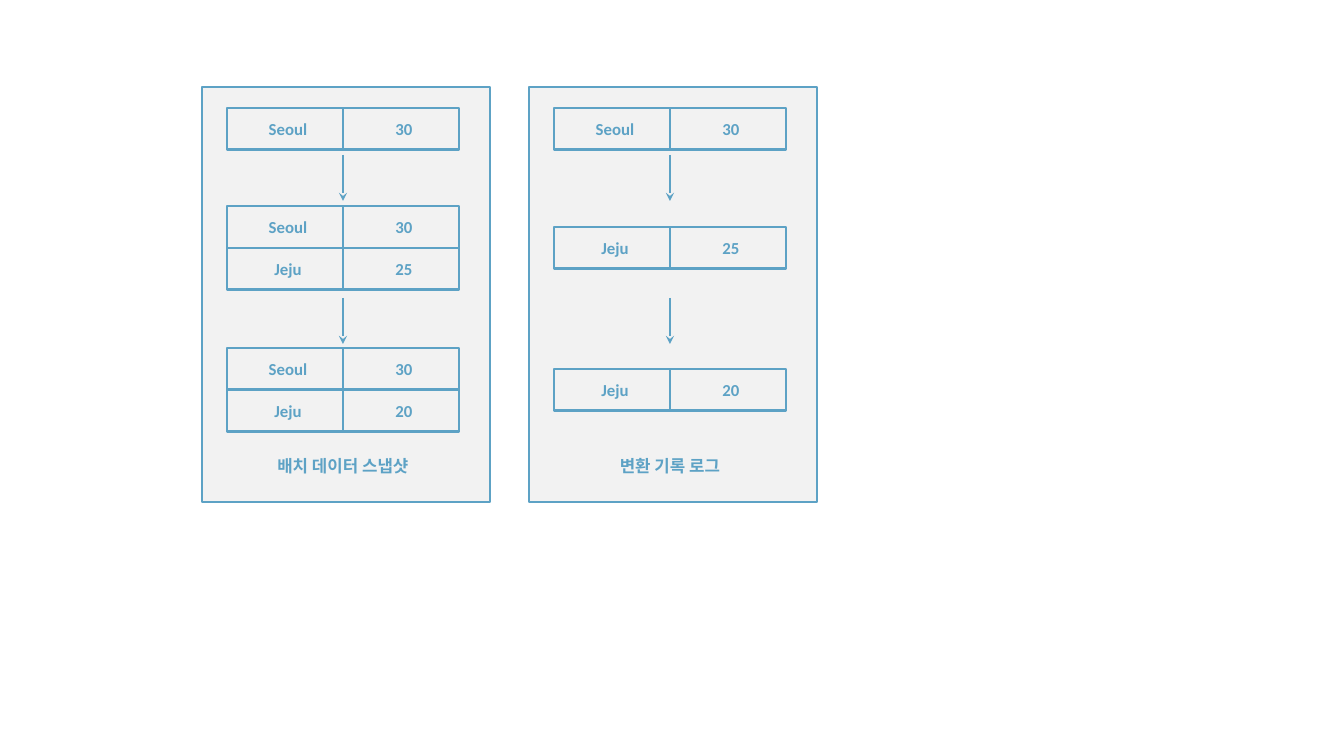
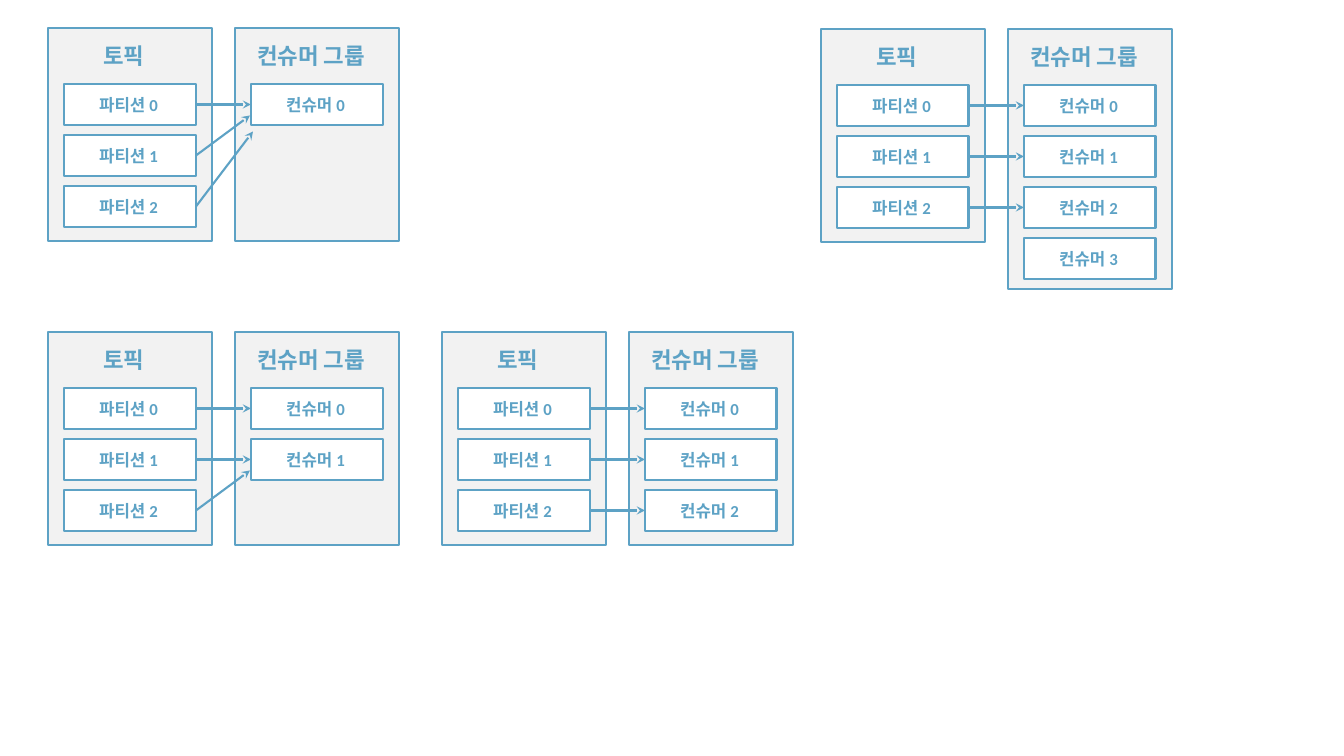
from dataclasses import dataclass

from lxml.etree import SubElement
from pptx import Presentation
from pptx.dml.color import RGBColor
from pptx.enum.shapes import MSO_CONNECTOR as Connector, MSO_SHAPE as Shape
from pptx.enum.text import MSO_ANCHOR as Anchor, PP_ALIGN as Align
from pptx.oxml.ns import qn
from pptx.util import Emu, Pt


@dataclass(frozen=True)
class Theme:
    accent: RGBColor = RGBColor(0x5D, 0xA2, 0xC5)
    panel: RGBColor = RGBColor(0xF2, 0xF2, 0xF2)
    box: RGBColor = RGBColor(0xFF, 0xFF, 0xFF)
    font: str = "Calibri"
    label: int = 12
    heading: int = 16
    border: float = 2
    arrow: float = 1.5


THEME = Theme()
EMU_PER_PX = 914400 / 100.8
RIGHT, LEFT = 3, 1


def px(length):
    return Emu(round(length * EMU_PER_PX))


def write(frame, text, size):
    frame.word_wrap = True
    line = frame.paragraphs[0]
    line.text = text
    line.alignment = Align.CENTER
    line.font.name = THEME.font
    line.font.size = Pt(size)
    line.font.bold = True
    line.font.color.rgb = THEME.accent


def add_box(slide, x, y, w, h, fill=None, text=None, left=0, right=0):
    box = slide.shapes.add_shape(Shape.RECTANGLE, px(x), px(y), px(w), px(h))
    box.shadow.inherit = False
    if fill is None:
        box.fill.background()
    else:
        box.fill.solid()
        box.fill.fore_color.rgb = fill
    box.line.color.rgb = THEME.accent
    box.line.width = Pt(THEME.border)
    if text:
        frame = box.text_frame
        frame.margin_left, frame.margin_right = px(left), px(right)
        frame.margin_top = frame.margin_bottom = 0
        frame.vertical_anchor = Anchor.MIDDLE
        write(frame, text, THEME.label)
    return box


def add_label(slide, x, y, w, h, text, size):
    label = slide.shapes.add_textbox(px(x), px(y), px(w), px(h))
    write(label.text_frame, text, size)


def add_arrow(slide, x1, y1, x2, y2):
    arrow = slide.shapes.add_connector(
        Connector.STRAIGHT, px(x1), px(y1), px(x2), px(y2))
    arrow.line.color.rgb = THEME.accent
    arrow.line.width = Pt(THEME.arrow)
    SubElement(arrow.line._get_or_add_ln(), qn("a:tailEnd"), type="stealth")
    SubElement(arrow._element.spPr, qn("a:effectLst"))
    return arrow


def history_panel(slide, x, y, caption, stages):
    cell_w, cell_h, inset = 116, 42, 25
    add_box(slide, x, y, 288, 415, THEME.panel)
    for center, records in zip((42, 161, 303), stages):
        top = y + center - len(records) * cell_h // 2
        for row, record in enumerate(records):
            for column, value in enumerate(record):
                add_box(slide, x + inset + column * cell_w, top + row * cell_h,
                        cell_w, cell_h, text=value, left=6)
    for start in (68, 211):
        middle = x + inset + cell_w
        add_arrow(slide, middle, y + start, middle, y + start + 46)
    add_label(slide, x + inset, y + 364, 2 * cell_w, 30, caption, THEME.label)


def member_panel(slide, x, y, h, heading, member, count):
    add_box(slide, x, y, 164, h, THEME.panel)
    add_label(slide, x - 12, y + 9, 176, 37, heading, THEME.heading)
    return [add_box(slide, x + 16, y + 56 + 51 * i, 132, 41, THEME.box,
                    f"{member} {i}", right=3) for i in range(count)]


def consumer_diagram(slide, x, y, consumer_count, links):
    group_h = 260 if consumer_count > 3 else 213
    partitions = member_panel(slide, x, y, 213, "토픽", "파티션", 3)
    consumers = member_panel(
        slide, x + 187, y, group_h, "컨슈머 그룹", "컨슈머", consumer_count)
    for partition, (target, dx, dy) in zip(partitions, links):
        consumer = consumers[target]
        end_x = consumer.left / EMU_PER_PX + dx
        end_y = (consumer.top + consumer.height / 2) / EMU_PER_PX + dy
        arrow = add_arrow(slide, 0, 0, end_x, end_y)
        arrow.begin_connect(partition, RIGHT)
        if not (dx or dy):
            arrow.end_connect(consumer, LEFT)


def main():
    deck = Presentation()
    deck.slide_width, deck.slide_height = px(1344), px(756)
    blank = deck.slide_layouts[6]

    seoul, jeju, jeju_updated = ("Seoul", "30"), ("Jeju", "25"), ("Jeju", "20")
    history = deck.slides.add_slide(blank)
    history_panel(history, 202, 87, "배치 데이터 스냅샷",
                  [[seoul], [seoul, jeju], [seoul, jeju_updated]])
    history_panel(history, 529, 87, "변환 기록 로그",
                  [[seoul], [jeju], [jeju_updated]])

    one_to_one = [(i, 0, 0) for i in range(3)]
    groups = deck.slides.add_slide(blank)
    consumer_diagram(groups, 48, 28, 1, [(0, 0, 0), (0, -1, 11), (0, 2, 27)])
    consumer_diagram(groups, 48, 332, 2, [(0, 0, 0), (1, 0, 0), (1, -1, 11)])
    consumer_diagram(groups, 442, 332, 3, one_to_one)
    consumer_diagram(groups, 821, 29, 4, one_to_one)

    deck.save("out.pptx")


if __name__ == "__main__":
    main()
